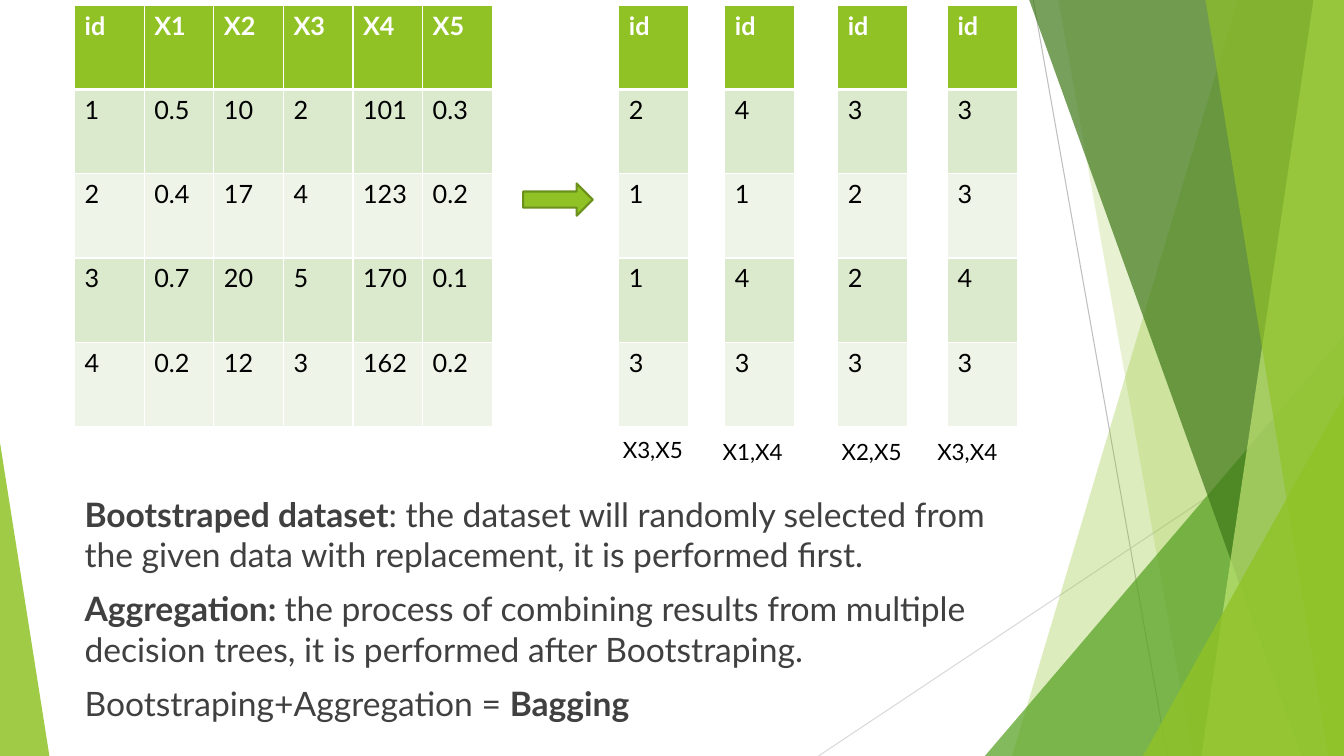
from lxml.etree import SubElement
from pptx import Presentation
from pptx.dml.color import RGBColor
from pptx.enum.shapes import MSO_CONNECTOR as Connector, MSO_SHAPE as Preset
from pptx.enum.text import MSO_ANCHOR as Anchor, MSO_AUTO_SIZE as AutoSize
from pptx.oxml.ns import qn
from pptx.util import Inches, Pt

WIDTH, HEIGHT = Inches(13.333), Inches(7.5)
FONT = "Lato"
GREEN, WHITE, BLACK, GREY = "90C226", "FFFFFF", "000000", "404040"
BANDS = ["EEF4E8", "DBE9CD"]
COLUMN, ROW, TABLE_TOP = 5.18, 11.15, 0.67


def across(share):
    """Turn a percentage of the slide's width into a length."""
    return int(WIDTH * share / 100)


def down(share):
    """Turn a percentage of the slide's height into a length."""
    return int(HEIGHT * share / 100)


def frame(left, top, width, height):
    """Turn four percentages into a position and a size."""
    return across(left), down(top), across(width), down(height)


def color(code):
    """Read a hex string as a colour."""
    return RGBColor.from_string(code)


def paint(shape, code, opacity=100, outline=None):
    """Fill a shape, with an optional opacity and outline colour."""
    shape.shadow.inherit = False
    shape.fill.solid()
    shape.fill.fore_color.rgb = color(code)
    if opacity < 100:
        tint = shape.element.spPr.find(".//" + qn("a:srgbClr"))
        SubElement(tint, qn("a:alpha"), val=str(opacity * 1000))
    if outline:
        shape.line.color.rgb = color(outline)
        shape.line.width = Pt(1.5)
    else:
        shape.line.fill.background()


def add_line(page, start, end, code):
    """Draw a thin straight line between two points."""
    line = page.shapes.add_connector(
        Connector.STRAIGHT, across(start[0]), down(start[1]), across(end[0]), down(end[1]))
    line.line.color.rgb = color(code)
    line.line.width = Pt(0.75)
    SubElement(line.element.spPr, qn("a:effectLst"))


def add_ribbon(page, top, bottom, code, opacity):
    """Draw a band from a slanted left edge to the slide's right edge."""
    outline = page.shapes.build_freeform(across(top), 0)
    corners = [(100, 0), (100, 100), (bottom, 100)]
    outline.add_line_segments([(across(x), down(y)) for x, y in corners])
    paint(outline.convert_to_shape(), code, opacity)


def add_triangle(page, left, top, width, apex, code, opacity):
    """Draw a triangle that stands on the slide's bottom edge."""
    triangle = page.shapes.add_shape(
        Preset.ISOSCELES_TRIANGLE, *frame(left, top, width, 100 - top))
    triangle.adjustments[0] = apex
    paint(triangle, code, opacity)


def write(para, text, size=18, code=BLACK, bold=False):
    """Append a formatted span of text to a paragraph."""
    span = para.add_run()
    span.text = text
    span.font.name = FONT
    span.font.size = Pt(size)
    span.font.bold = bold
    span.font.color.rgb = color(code)


def add_border(cell, side, width):
    """Give one side of a cell a white border."""
    border = SubElement(cell._tc.get_or_add_tcPr(), qn("a:ln" + side), w=str(Pt(width)))
    SubElement(SubElement(border, qn("a:solidFill")), qn("a:srgbClr"), val=WHITE)


def add_grid(page, left, rows):
    """Draw a banded table with a green header row."""
    size = len(rows), len(rows[0])
    table = page.shapes.add_table(
        *size, *frame(left, TABLE_TOP, COLUMN * size[1], ROW * size[0])).table
    for column in table.columns:
        column.width = across(COLUMN)
    for number, values in enumerate(rows):
        header = number == 0
        table.rows[number].height = down(ROW)
        for cell, value in zip(table.rows[number].cells, values):
            widths = {"L": 1, "R": 1, "T": 3 if number == 1 else 1, "B": 3 if header else 1}
            for side, width in widths.items():
                add_border(cell, side, width)
            cell.fill.solid()
            cell.fill.fore_color.rgb = color(GREEN if header else BANDS[number % 2])
            write(cell.text_frame.paragraphs[0], value,
                  code=WHITE if header else BLACK, bold=header)


def add_label(page, left, top, text):
    """Write the features of one sample under its table."""
    box = page.shapes.add_textbox(*frame(left, top, 6.08, 4.93))
    box.text_frame.word_wrap = True
    box.text_frame.auto_size = AutoSize.SHAPE_TO_FIT_TEXT
    write(box.text_frame.paragraphs[0], text, size=16)


def add_definitions(page, paragraphs):
    """Write paragraphs made of (text, bold) spans."""
    body = page.shapes.add_textbox(*frame(5.55, 64.67, 70.5, 31.6)).text_frame
    body.word_wrap = True
    body.vertical_anchor = Anchor.MIDDLE
    for number, spans in enumerate(paragraphs):
        para = body.add_paragraph() if number else body.paragraphs[0]
        para.space_before = Pt(10)
        for text, bold in spans:
            write(para, text, size=24, code=GREY, bold=bold)


def add_backdrop(page):
    """Draw the green facets at the slide's edges."""
    add_line(page, (76.88, 0), (86.85, 100), "BFBFBF")
    add_line(page, (100, 53.73), (60.9, 100), "D9D9D9")
    add_ribbon(page, 92.1, 75.3, GREEN, 30)
    add_ribbon(page, 78.75, 88.73, GREEN, 20)
    add_triangle(page, 73.28, 44.4, 26.72, 1, "54A021", 72)
    add_ribbon(page, 76.58, 96.83, "3F7819", 70)
    add_ribbon(page, 97.73, 89.4, "C0E474", 70)
    add_ribbon(page, 89.7, 98.85, GREEN, 65)
    add_triangle(page, 85.05, 52.4, 14.95, 1, GREEN, 80)
    add_triangle(page, 0, 58.53, 3.68, 0, GREEN, 85)


def main():
    """Build the slide on bagging and save it."""
    deck = Presentation()
    deck.slide_width, deck.slide_height = WIDTH, HEIGHT
    page = deck.slides.add_slide(deck.slide_layouts[6])
    add_backdrop(page)
    add_definitions(page, [
        [("Bootstraped dataset", True),
         (": the dataset will randomly selected from the given data with replacement, "
          "it is performed first.", False)],
        [("Aggregation: ", True),
         ("the process of combining results from multiple decision trees, "
          "it is performed after Bootstraping.", False)],
        [("Bootstraping+Aggregation = ", False), ("Bagging", True)],
    ])
    add_grid(page, 5.55, [
        ["id", "X1", "X2", "X3", "X4", "X5"],
        ["1", "0.5", "10", "2", "101", "0.3"],
        ["2", "0.4", "17", "4", "123", "0.2"],
        ["3", "0.7", "20", "5", "170", "0.1"],
        ["4", "0.2", "12", "3", "162", "0.2"],
    ])
    arrow = page.shapes.add_shape(Preset.RIGHT_ARROW, *frame(38.93, 24.27, 5.18, 4.27))
    paint(arrow, GREEN, outline="6B901C")
    samples = [
        (46.05, "2113", 45.6, 57.07, "X3,X5"),
        (53.93, "4143", 53.03, 57.33, "X1,X4"),
        (62.33, "3223", 61.88, 57.33, "X2,X5"),
        (70.5, "3343", 69, 57.33, "X3,X4"),
    ]
    for left, ids, label_left, label_top, features in samples:
        add_grid(page, left, [["id"], *ids])
        add_label(page, label_left, label_top, features)
    deck.save("out.pptx")


main()
